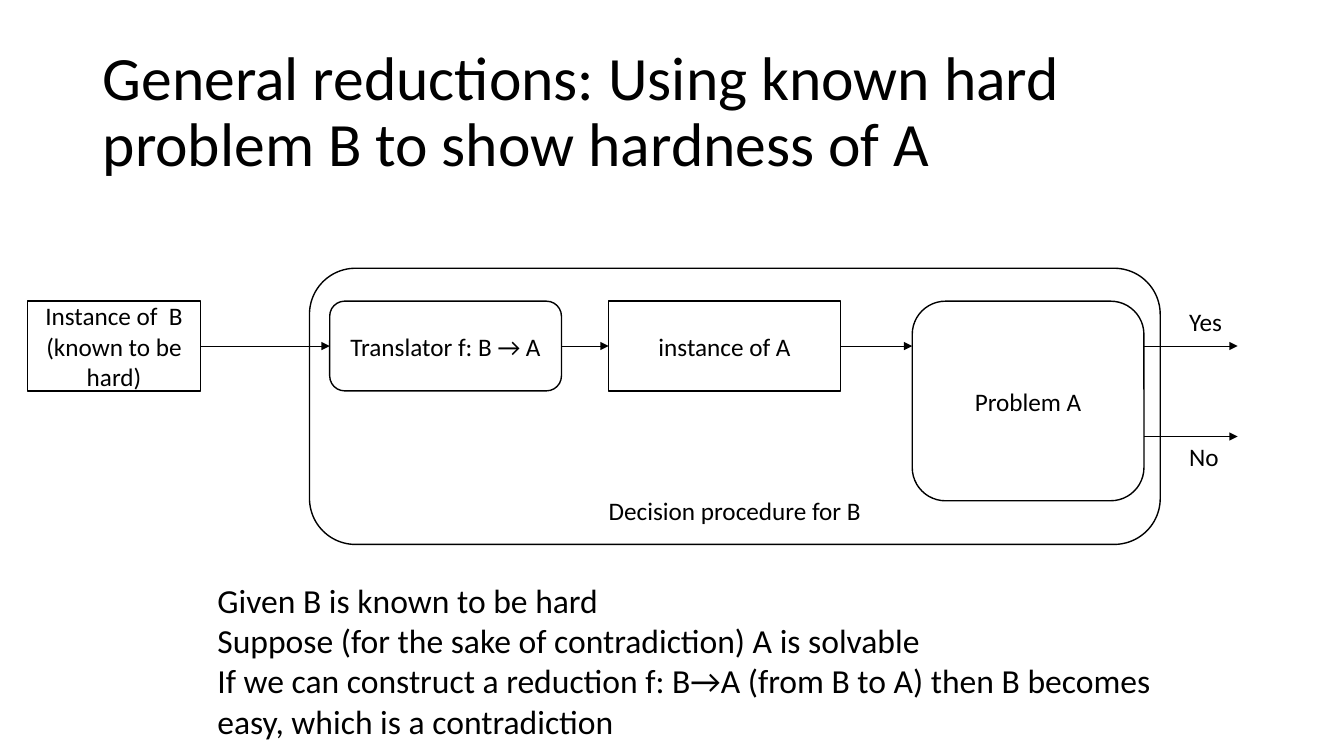
"""Builds a slide that explains hardness proofs by reduction."""
from collections import namedtuple

from lxml.etree import SubElement
from pptx import Presentation
from pptx.dml.color import RGBColor
from pptx.enum.shapes import MSO_CONNECTOR as Connector, MSO_SHAPE as Shape
from pptx.enum.text import MSO_ANCHOR as Anchor, PP_ALIGN as Align
from pptx.oxml.ns import qn
from pptx.util import Cm, Pt

COLORS = {"ink": "000000", "paper": "FFFFFF"}
FONT = "Calibri"
TOP, LEFT, BOTTOM, RIGHT = range(4)
Box = namedtuple("Box", "left top width height")


def color(name):
    """Return the named colour."""
    return RGBColor.from_string(COLORS[name])


def lengths(box):
    """Return the box as four lengths."""
    return [Cm(value) for value in box]


def write(frame, lines, size, align=Align.LEFT, spacing=None):
    """Write one paragraph for each line into a text frame."""
    for index, line in enumerate(lines):
        para = frame.paragraphs[0] if index == 0 else frame.add_paragraph()
        para.alignment = align
        if spacing:
            para.line_spacing = spacing
        span = para.add_run()
        span.text = line
        span.font.name = FONT
        span.font.size = Pt(size)
        span.font.color.rgb = color("ink")


def add_text(page, box, lines, size, wrap=True, anchor=Anchor.TOP, spacing=None):
    """Add a text box."""
    frame = page.shapes.add_textbox(*lengths(box)).text_frame
    frame.word_wrap = wrap
    frame.vertical_anchor = anchor
    write(frame, lines, size, spacing=spacing)


def add_block(page, kind, box, label, filled=True, anchor=Anchor.MIDDLE):
    """Add an outlined block with a centred label."""
    block = page.shapes.add_shape(kind, *lengths(box))
    block.shadow.inherit = False
    if filled:
        block.fill.solid()
        block.fill.fore_color.rgb = color("paper")
    else:
        block.fill.background()
    block.line.color.rgb = color("ink")
    block.line.width = Pt(1)
    block.text_frame.word_wrap = True
    block.text_frame.vertical_anchor = anchor
    write(block.text_frame, [label], 18, Align.CENTER)
    return block


def add_arrow(page, start, end, y, source=None, target=None):
    """Add a level arrow, joined to the blocks given."""
    arrow = page.shapes.add_connector(Connector.STRAIGHT, Cm(start), Cm(y), Cm(end), Cm(y))
    if source is not None:
        arrow.begin_connect(source, RIGHT)
    if target is not None:
        arrow.end_connect(target, LEFT)
    arrow.line.color.rgb = color("ink")
    arrow.line.width = Pt(0.5)
    SubElement(arrow.line._get_or_add_ln(), qn("a:tailEnd"), type="triangle")
    SubElement(arrow._element.spPr, qn("a:effectLst"))


def add_diagram(page, box):
    """Draw the decision procedure for B with its input and answers."""
    frame = Box(box.left + 7.11, box.top, 21.44, box.height)
    add_block(page, Shape.ROUNDED_RECTANGLE, frame, "Decision procedure for B", False, Anchor.BOTTOM)

    row_top, row_height = box.top + 0.83, 2.26
    middle = row_top + row_height / 2
    problem = Box(box.left + 22.3, row_top, 5.84, 5.03)
    add_block(page, Shape.ROUNDED_RECTANGLE, problem, "Problem A")

    steps = [
        (Shape.RECTANGLE, 0, 4.37, "Instance of  B (known to be hard)"),
        (Shape.ROUNDED_RECTANGLE, 7.62, 5.84, "Translator f: B → A"),
        (Shape.RECTANGLE, 14.65, 5.84, "instance of A"),
    ]
    blocks = [
        add_block(page, kind, Box(box.left + offset, row_top, width, row_height), label)
        for kind, offset, width, label in steps
    ]
    for source, target in zip(blocks, blocks[1:]):
        add_arrow(page, 0, 0, middle, source, target)
    add_arrow(page, 0, problem.left, middle, blocks[-1])

    no_line = middle + 2.28
    for answer, line, label_top in (("Yes", middle, row_top), ("No", no_line, no_line)):
        add_arrow(page, problem.left + problem.width, box.left + box.width, line)
        add_text(page, Box(box.left + 29.03, label_top, 1.35, 1.02), [answer], 18, False)


def add_title(page, box):
    """Add the slide title."""
    title = "General reductions: Using known hard problem B to show hardness of A"
    add_text(page, box, [title], 44, anchor=Anchor.MIDDLE, spacing=0.9)


def add_argument(page, box):
    """Add the proof by contradiction."""
    add_text(page, box, [
        "Given B is known to be hard",
        "Suppose (for the sake of contradiction) A is solvable",
        "If we can construct a reduction f: B→A (from B to A) then B becomes easy, "
        "which is a contradiction",
    ], 24)


def main():
    """Build and save the deck."""
    deck = Presentation()
    deck.slide_width, deck.slide_height = Cm(33.87), Cm(19.05)
    page = deck.slides.add_slide(deck.slide_layouts[6])
    add_title(page, Box(2.34, 1.02, 29.21, 3.68))
    add_diagram(page, Box(0.69, 6.76, 30.5, 6.96))
    add_argument(page, Box(5.23, 14.48, 24.77, 4.37))
    deck.save("out.pptx")


if __name__ == "__main__":
    main()
